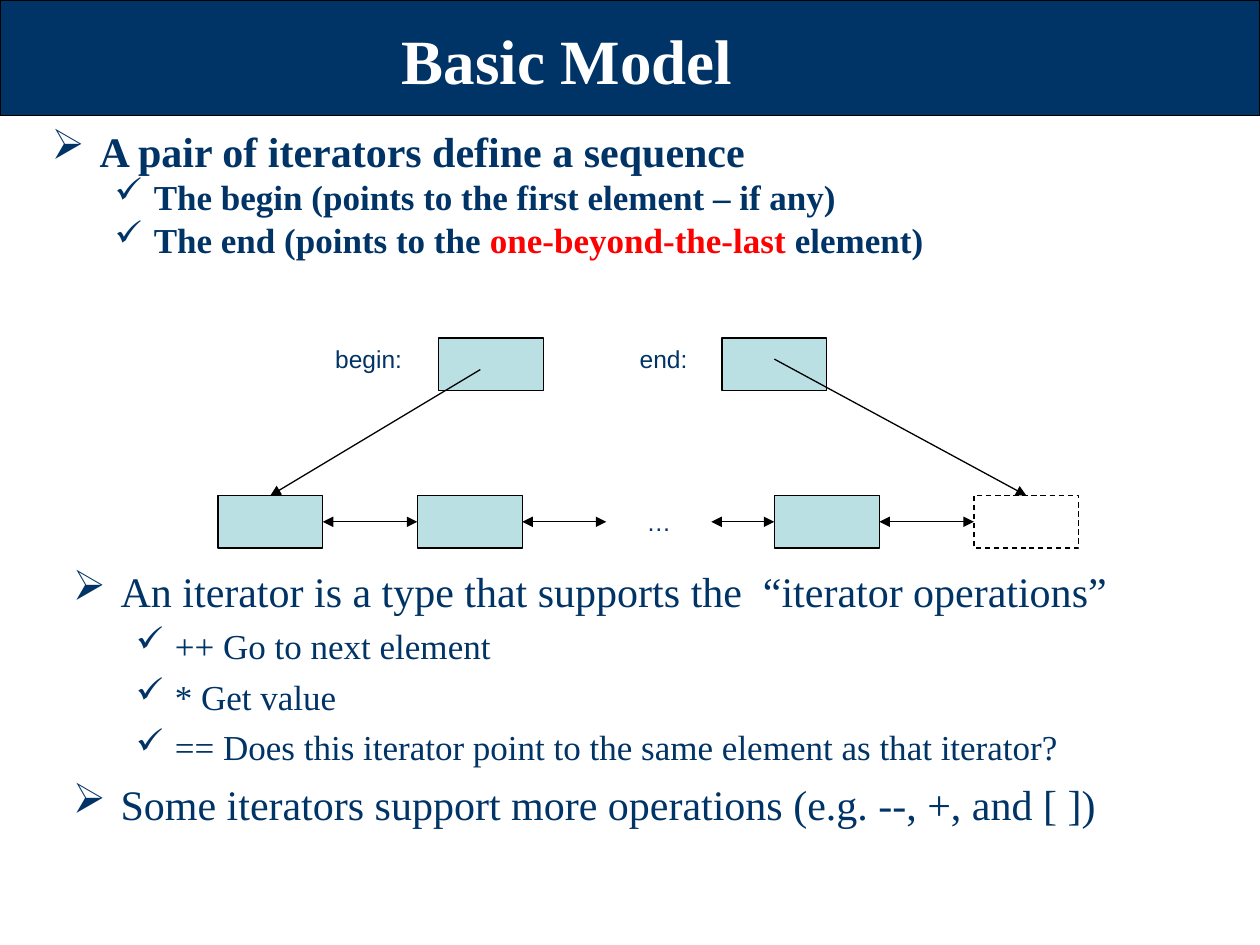
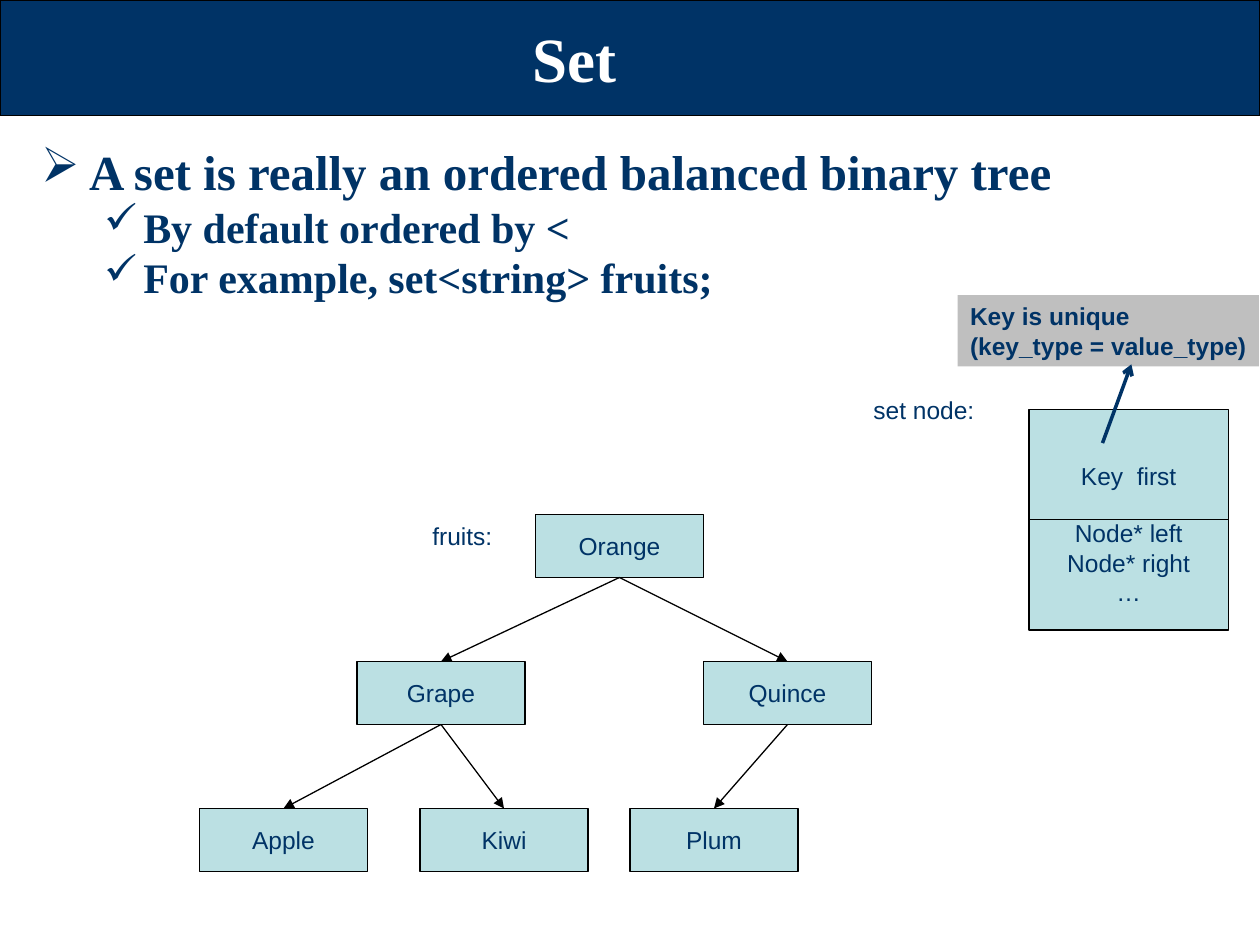
from itertools import pairwise

from pptx import Presentation
from pptx.dml.color import RGBColor
from pptx.enum.dml import MSO_LINE
from pptx.enum.shapes import MSO_CONNECTOR as Connector, MSO_SHAPE as Preset
from pptx.enum.text import MSO_ANCHOR as Anchor, PP_ALIGN as Align
from pptx.oxml.ns import qn
from pptx.util import Inches, Pt
from lxml.etree import SubElement

# Shared style; the grid has 120 columns and 90 rows
COLUMNS, ROWS = 120, 90
NAVY, AQUA, GREY = "003366", "BBE0E3", "BFBFBF"
BLACK, WHITE, RED = "000000", "FFFFFF", "FF0000"
SERIF, SANS = "Times New Roman", "Arial"
# Level: bullet mark, left indent, hanging indent (inches)
BULLETS = [("➢", 0.38, 0.38), ("✓", 0.81, 0.31)]


def paint(color_format, color):
    """Set a fill, line or font colour from a hex string."""
    color_format.rgb = RGBColor.from_string(color)


def write(paragraph, text, size=14, font=SANS, color=NAVY, bold=False,
          align=Align.LEFT, accent=None):
    """Fill a paragraph; the accent part of the text turns red."""
    paragraph.alignment = align
    parts = text.partition(accent) if accent else (text,)
    for part in filter(None, parts):
        run = paragraph.add_run()
        run.text = part
        run.font.size = Pt(size)
        run.font.name = font
        run.font.bold = bold
        paint(run.font.color, RED if part == accent else color)
    return paragraph


def add_bullet(paragraph, level):
    mark, left, hanging = BULLETS[level]
    paragraph.level = level
    properties = paragraph._p.get_or_add_pPr()
    properties.set("marL", str(Inches(left)))
    properties.set("indent", str(-Inches(hanging)))
    bullet_color = SubElement(properties, qn("a:buClr"))
    SubElement(bullet_color, qn("a:srgbClr"), val=NAVY)
    SubElement(properties, qn("a:buChar"), char=mark)


class Deck:
    """Holds the presentation, its grid and the current slide."""

    def __init__(self):
        self.presentation = Presentation()
        self.presentation.slide_width = Inches(10)
        self.presentation.slide_height = Inches(7.5)
        self.column = self.presentation.slide_width / COLUMNS
        self.row = self.presentation.slide_height / ROWS
        self.slide = None

    def place(self, *lengths):
        """Turn alternating columns and rows into slide lengths."""
        units = (self.column, self.row) * (len(lengths) // 2)
        return [round(length * unit) for length, unit in zip(lengths, units)]

    def new_slide(self, title, *title_area):
        layout = self.presentation.slide_layouts[6]
        self.slide = self.presentation.slides.add_slide(layout)
        self.box(0, 0, COLUMNS, 11, fill=NAVY)
        frame = self.text_frame(*title_area)
        frame.vertical_anchor = Anchor.MIDDLE
        write(frame.paragraphs[0], title, size=36, font=SERIF, color=WHITE,
              bold=True, align=Align.CENTER)

    def text_frame(self, *area):
        frame = self.slide.shapes.add_textbox(*self.place(*area)).text_frame
        frame.word_wrap = True
        return frame

    def label(self, text, *area):
        write(self.text_frame(*area).paragraphs[0], text)

    def box(self, *area, lines=(), fill=AQUA, line=BLACK, dashed=False,
            anchor=Anchor.MIDDLE, **text_format):
        shape = self.slide.shapes.add_shape(Preset.RECTANGLE, *self.place(*area))
        shape.shadow.inherit = False
        if fill:
            shape.fill.solid()
            paint(shape.fill.fore_color, fill)
        else:
            shape.fill.background()
        if line:
            paint(shape.line.color, line)
            shape.line.width = Pt(0.75)
        else:
            shape.line.fill.background()
        if dashed:
            shape.line.dash_style = MSO_LINE.DASH
        frame = shape.text_frame
        frame.word_wrap = False
        frame.vertical_anchor = anchor
        text_format.setdefault("align", Align.CENTER)
        for index, text in enumerate(lines):
            paragraph = frame.add_paragraph() if index else frame.paragraphs[0]
            write(paragraph, text, **text_format)
        return frame

    def line(self, *ends, color=BLACK, width=0.75, head=None, tail=None):
        connector = self.slide.shapes.add_connector(
            Connector.STRAIGHT, *self.place(*ends))
        paint(connector.line.color, color)
        connector.line.width = Pt(width)
        outline = connector.line._get_or_add_ln()
        for tag, arrowhead in (("a:headEnd", head), ("a:tailEnd", tail)):
            if arrowhead:
                SubElement(outline, qn(tag), type=arrowhead)
        SubElement(connector._element.spPr, qn("a:effectLst"))

    def bullets(self, *area, items, sizes, gaps, spacing=1.0, bold=False,
                accent=None):
        """Items are (level, text); sizes and gaps go by level."""
        frame = self.text_frame(*area)
        for index, (level, text) in enumerate(items):
            paragraph = frame.add_paragraph() if index else frame.paragraphs[0]
            add_bullet(paragraph, level)
            paragraph.line_spacing = spacing
            if index:
                paragraph.space_before = Pt(gaps[level])
            write(paragraph, text, size=sizes[level], font=SERIF, bold=bold,
                  accent=accent if accent and accent in text else None)


def build_basic_model(deck):
    deck.new_slide("Basic Model", 0, 0, 108, 11.25)
    deck.bullets(3.75, 12.25, 108, 14, sizes=(24, 20), gaps=(6, 5),
                 spacing=0.8, bold=True, accent="one-beyond-the-last ", items=[
        (0, "A pair of iterators define a sequence"),
        (1, "The begin (points to the first element – if any)"),
        (1, "The end (points to the one-beyond-the-last element)")])

    # Sequence of elements, linked both ways
    width, height = 10, 5
    iterator_top, element_top = 32.2, 47.2
    elements = [20.75, 39.75, 57.75, 73.75, 92.75]
    looks = [{}, {}, {"fill": None, "line": WHITE, "lines": ["…"]}, {},
             {"fill": None, "dashed": True}]
    for left, look in zip(elements, looks):
        deck.box(left, element_top, width, height, **look)
    middle = element_top + height / 2
    for left, following in pairwise(elements):
        deck.line(left + width, middle, following, middle,
                  head="triangle", tail="triangle")

    # Iterators: label, label left, box left, arrow start, element pointed to
    iterators = [("begin:", 30.75, 41.75, (45.75, 35.2), elements[0]),
                 ("end:", 59.75, 68.75, (73.75, 34.2), elements[-1])]
    for name, label_left, box_left, start, element in iterators:
        deck.label(name, label_left, iterator_top, 13, 4)
        deck.box(box_left, iterator_top, width, height)
        deck.line(*start, element + width / 2, element_top, tail="triangle")

    deck.bullets(5.75, 53.25, 110.5, 33, sizes=(24, 20), gaps=(6, 5), items=[
        (0, "An iterator is a type that supports the  “iterator operations”"),
        (1, "++ Go to next element"),
        (1, "* Get value"),
        (1, "== Does this iterator point to the same element as that iterator?"),
        (0, "Some iterators support more operations (e.g. --, +, and [ ])")])


def build_set(deck):
    deck.new_slide("Set", 3, 1, 103.5, 9)
    deck.bullets(2.75, 14, 108, 14, sizes=(28, 24), gaps=(7, 6),
                 spacing=0.8, bold=True, items=[
        (0, "A set is really an ordered balanced binary tree"),
        (1, "By default ordered by <"),
        (1, "For example, set<string> fruits;")])

    # Binary tree: left column and level of each fruit
    width, height = 16, 6
    level_tops = [49, 63, 77]
    fruits = {"Orange": (51, 0), "Grape": (34, 1), "Quince": (67, 1),
              "Apple": (19, 2), "Kiwi": (40, 2), "Plum": (60, 2)}
    branches = [("Orange", "Grape"), ("Orange", "Quince"), ("Quince", "Plum"),
                ("Grape", "Kiwi"), ("Grape", "Apple")]
    for fruit, (left, level) in fruits.items():
        deck.box(left, level_tops[level], width, height, lines=[fruit])
    deck.label("fruits:", 40, level_tops[0], 13, 4)
    for parent, child in branches:
        (parent_left, parent_level), (child_left, child_level) = (
            fruits[parent], fruits[child])
        deck.line(parent_left + width / 2, level_tops[parent_level] + height,
                  child_left + width / 2, level_tops[child_level],
                  tail="triangle")

    # Layout of one set node
    node = deck.box(98, 39, 19, 21,
                    lines=["Key  first", "Node* left", "Node* right", "…"])
    node.margin_top = Inches(0.27)
    node.paragraphs[1].space_before = Pt(16)
    deck.label("set node:", 82, 37, 17, 4)
    deck.line(98, 49.5, 117, 49.5)

    # Remark on the key
    deck.box(91.2, 28.1, 28.7, 6.8, fill=GREY, line=None, anchor=Anchor.TOP,
             lines=["Key is unique", "(key_type = value_type)"],
             bold=True, align=Align.LEFT)
    deck.line(105, 42.2, 107.75, 34.7, color=NAVY, width=2, tail="arrow")


def main():
    deck = Deck()
    build_basic_model(deck)
    build_set(deck)
    deck.presentation.save("out.pptx")


if __name__ == "__main__":
    main()
